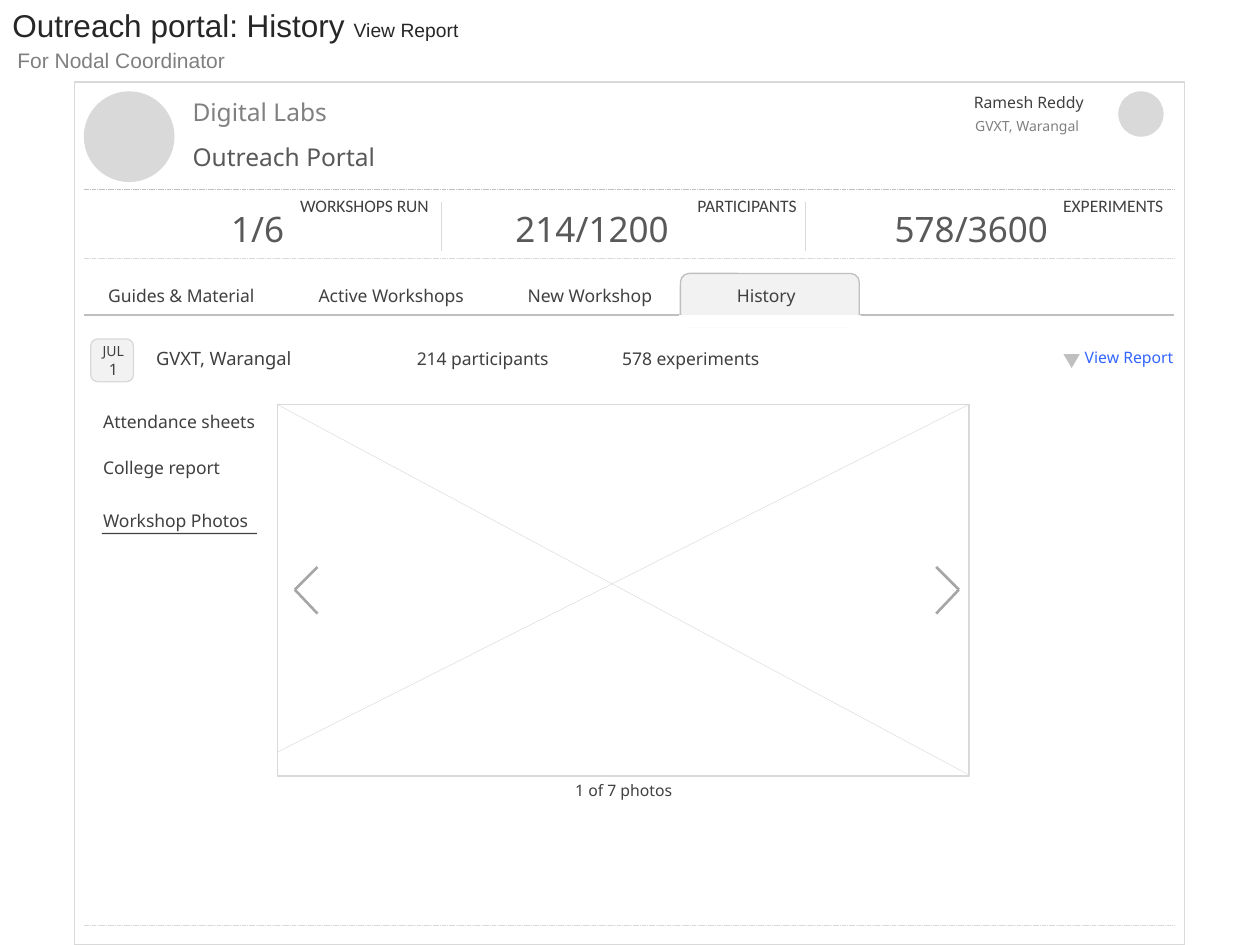
"""Build the outreach portal wireframe showing a workshop report in the History tab."""
from dataclasses import dataclass
from typing import NamedTuple, Optional

from lxml import etree
from pptx import Presentation
from pptx import util as u
from pptx.dml import color
from pptx.enum import dml, shapes, text
from pptx.oxml import ns

SHAPE = shapes.MSO_SHAPE
ALIGN = text.PP_ALIGN


@dataclass(frozen=True)
class Theme:
    sans: str = "Arial"
    label: str = "Calibri"
    body: str = "Noto Sans"
    title_ink: str = "262626"
    ink: str = "404040"
    strong: str = "595959"
    muted: str = "808080"
    subtitle: str = "7F7F7F"
    link: str = "3366FF"
    white: str = "FFFFFF"
    panel: str = "F2F2F2"
    pale: str = "D9D9D9"
    edge: str = "BFBFBF"
    arrow: str = "A6A6A6"
    title_size: float = 18
    title_note_size: float = 11
    figure_size: float = 20
    brand_size: float = 14
    subtitle_size: float = 12
    place_size: float = 10.5
    body_size: float = 10
    small_size: float = 9
    tiny_size: float = 8
    hairline: float = 0.25
    outline: float = 0.75
    chevron: float = 1.5


THEME = Theme()


class Box(NamedTuple):
    left: float
    top: float
    width: float
    height: float

    def lengths(self) -> list:
        return [u.Inches(value) for value in self]


class Span(NamedTuple):
    words: str
    size: float = THEME.body_size
    ink: str = THEME.ink
    font: str = THEME.body


class Label(NamedTuple):
    box: Box
    span: Span
    align: ALIGN = ALIGN.LEFT


class Statistic(NamedTuple):
    caption: str
    caption_box: Box
    figure: str
    figure_box: Box


def rgb(value: str) -> color.RGBColor:
    return color.RGBColor.from_string(value)


def add_text(slide, box: Box, *lines: list[Span], align: ALIGN = ALIGN.LEFT) -> None:
    frame = slide.shapes.add_textbox(*box.lengths()).text_frame
    frame.word_wrap = True
    frame.auto_size = text.MSO_AUTO_SIZE.SHAPE_TO_FIT_TEXT
    for index, spans in enumerate(lines):
        paragraph = frame.add_paragraph() if index else frame.paragraphs[0]
        paragraph.alignment = align
        for span in spans:
            run = paragraph.add_run()
            run.text = span.words
            run.font.size = u.Pt(span.size)
            run.font.name = span.font
            run.font.color.rgb = rgb(span.ink)


def add_labels(slide, labels: list[Label]) -> None:
    for label in labels:
        add_text(slide, label.box, [label.span], align=label.align)


def add_shape(slide, kind: SHAPE, box: Box, fill: Optional[str] = None,
              line: Optional[str] = None, rotation: float = 0) -> None:
    shape = slide.shapes.add_shape(kind, *box.lengths())
    shape.shadow.inherit = False
    shape.rotation = rotation
    if fill:
        shape.fill.solid()
        shape.fill.fore_color.rgb = rgb(fill)
    else:
        shape.fill.background()
    if line:
        shape.line.color.rgb = rgb(line)
        shape.line.width = u.Pt(THEME.outline)
    else:
        shape.line.fill.background()


def add_line(slide, start: tuple[float, float], end: tuple[float, float],
             ink: str = THEME.pale, width: float = THEME.hairline, dashed: bool = False) -> None:
    ends = [u.Inches(value) for value in (*start, *end)]
    connector = slide.shapes.add_connector(shapes.MSO_CONNECTOR.STRAIGHT, *ends)
    connector.line.color.rgb = rgb(ink)
    connector.line.width = u.Pt(width)
    if dashed:
        connector.line.dash_style = dml.MSO_LINE.SQUARE_DOT
    etree.SubElement(connector.element.spPr, ns.qn("a:effectLst"))


def add_rule(slide, top: float, ink: str = THEME.pale,
             width: float = THEME.hairline, dashed: bool = True) -> None:
    add_line(slide, (0.67, top), (9.32, top), ink, width, dashed)


def add_chevron(slide, tip: float, back: float) -> None:
    for outer in (4.5, 4.87):
        add_line(slide, (back, outer), (tip, 4.68), THEME.arrow, THEME.chevron)


def draw_header(slide) -> None:
    add_text(slide, Box(0, 0, 9.66, 0.4), [
        Span("Outreach portal: History ", THEME.title_size, THEME.title_ink, THEME.sans),
        Span("View Report", THEME.title_note_size, THEME.title_ink, THEME.sans)])
    add_shape(slide, SHAPE.RECTANGLE, Box(0.59, 0.65, 8.81, 6.85), line=THEME.pale)
    for circle in (Box(0.67, 0.73, 0.71, 0.71), Box(8.88, 0.73, 0.35, 0.35)):
        add_shape(slide, SHAPE.OVAL, circle, THEME.pale, THEME.pale)
    add_labels(slide, [
        Label(Box(0.04, 0.33, 1.93, 0.5),
              Span("For Nodal Coordinator", THEME.subtitle_size, THEME.subtitle, THEME.sans)),
        Label(Box(1.43, 0.72, 1.94, 0.34), Span("Digital Labs", THEME.brand_size, THEME.muted)),
        Label(Box(1.43, 1.08, 1.94, 0.34), Span("Outreach Portal", THEME.brand_size, THEME.strong)),
        Label(Box(7.63, 0.69, 1.25, 0.25), Span("Ramesh Reddy", THEME.small_size)),
        Label(Box(7.64, 0.88, 1.25, 0.24), Span("GVXT, Warangal", THEME.tiny_size, THEME.muted))])


def draw_statistics(slide) -> None:
    add_rule(slide, 1.5, THEME.edge)
    add_rule(slide, 2.05)
    for divider in (3.5, 6.39):
        add_line(slide, (divider, 1.6), (divider, 1.99))
    for item in (
            Statistic("WORKSHOPS RUN", Box(2.02, 1.5, 1.48, 0.27), "1/6", Box(1.54, 1.6, 1.01, 0.44)),
            Statistic("PARTICIPANTS", Box(5, 1.5, 1.42, 0.27), "214/1200", Box(3.83, 1.6, 1.74, 0.44)),
            Statistic("EXPERIMENTS", Box(7.85, 1.5, 1.48, 0.27), "578/3600", Box(6.83, 1.6, 1.76, 0.44))):
        add_text(slide, item.caption_box, [Span(item.caption, font=THEME.label)], align=ALIGN.RIGHT)
        add_text(slide, item.figure_box, [Span(item.figure, THEME.figure_size, THEME.strong)],
                 align=ALIGN.CENTER)


def draw_tabs(slide) -> None:
    add_shape(slide, SHAPE.ROUNDED_RECTANGLE, Box(5.4, 2.17, 1.42, 0.42), THEME.panel, THEME.edge)
    add_rule(slide, 2.5, THEME.edge, THEME.outline, dashed=False)
    add_shape(slide, SHAPE.RECTANGLE, Box(5.41, 2.48, 1.4, 0.03), THEME.panel)
    add_shape(slide, SHAPE.RECTANGLE, Box(5.39, 2.5, 1.44, 0.1), THEME.white)
    for left, name in ((0.76, "Guides & Material"), (2.43, "Active Workshops"),
                       (4.09, "New Workshop"), (5.75, "History")):
        add_text(slide, Box(left, 2.21, 1.4, 0.27), [Span(name)])


def draw_workshop(slide) -> None:
    add_shape(slide, SHAPE.ROUNDED_RECTANGLE, Box(0.72, 2.69, 0.34, 0.34), THEME.panel, THEME.pale)
    add_text(slide, Box(0.67, 2.67, 0.46, 0.39), [Span("JUL", THEME.tiny_size)],
             [Span("1", THEME.small_size)], align=ALIGN.CENTER)
    add_labels(slide, [
        Label(Box(1.14, 2.71, 1.65, 0.28), Span("GVXT, Warangal", THEME.place_size)),
        Label(Box(3.21, 2.71, 1.46, 0.28), Span("214 participants")),
        Label(Box(4.84, 2.71, 1.46, 0.28), Span("578 experiments")),
        Label(Box(8.22, 2.71, 1.19, 0.25), Span("View Report", THEME.small_size, THEME.link),
              ALIGN.RIGHT)])
    add_shape(slide, SHAPE.ISOSCELES_TRIANGLE, Box(8.44, 2.81, 0.13, 0.11), THEME.edge, rotation=180)


def draw_report(slide) -> None:
    for top, name in ((3.21, "Attendance sheets"), (3.58, "College report"), (4, "Workshop Photos")):
        add_text(slide, Box(0.72, top, 1.48, 0.27), [Span(name)])
    add_shape(slide, SHAPE.RECTANGLE, Box(0.81, 4.23, 1.23, 0.01), THEME.ink)
    add_shape(slide, SHAPE.RECTANGLE, Box(2.2, 3.21, 5.49, 2.95), line=THEME.pale)
    add_line(slide, (2.2, 3.21), (7.69, 6.15))
    add_line(slide, (7.69, 3.21), (2.2, 5.97))
    add_chevron(slide, tip=7.61, back=7.43)
    add_chevron(slide, tip=2.34, back=2.52)
    add_text(slide, Box(4.22, 6.15, 1.46, 0.25), [Span("1 of 7 photos", THEME.small_size)],
             align=ALIGN.CENTER)
    add_rule(slide, 7.34)


def main() -> None:
    presentation = Presentation()
    presentation.slide_width, presentation.slide_height = u.Inches(10), u.Inches(7.5)
    slide = presentation.slides.add_slide(presentation.slide_layouts[6])
    for draw in (draw_header, draw_statistics, draw_tabs, draw_workshop, draw_report):
        draw(slide)
    presentation.save("out.pptx")


if __name__ == "__main__":
    main()
